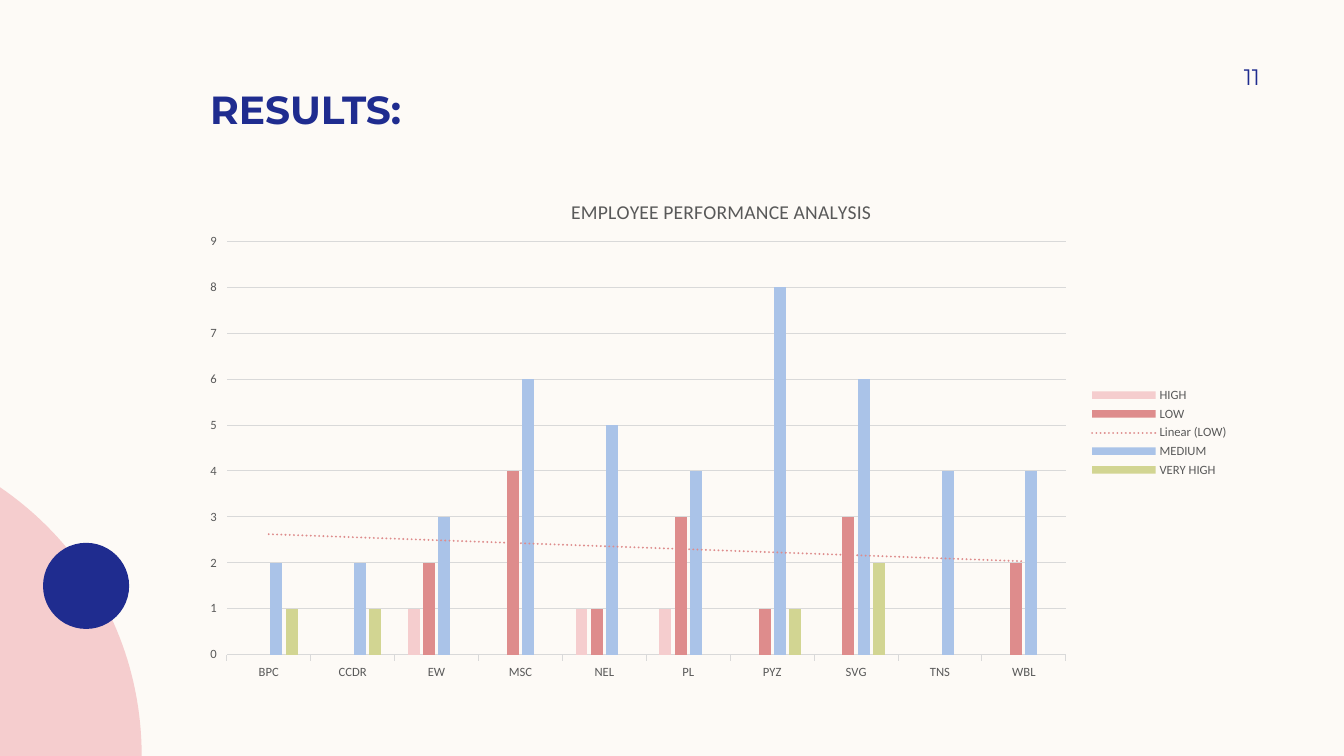
from lxml.etree import SubElement
from pptx import Presentation
from pptx.chart.data import CategoryChartData
from pptx.dml.color import RGBColor
from pptx.enum.chart import XL_CHART_TYPE as ChartType
from pptx.enum.chart import XL_LEGEND_POSITION as LegendPosition
from pptx.enum.chart import XL_TICK_MARK as TickMark
from pptx.enum.shapes import MSO_SHAPE as Shape
from pptx.enum.text import MSO_ANCHOR as Anchor
from pptx.enum.text import MSO_AUTO_SIZE as AutoSize
from pptx.enum.text import PP_ALIGN as Align
from pptx.oxml import parse_xml
from pptx.oxml.ns import nsdecls, qn
from pptx.util import Pt

EMU_PER_PX = 9525
SLIDE_WIDTH, SLIDE_HEIGHT = 1280, 720
TITLE_ONLY = 5
COLORS = {
    "cream": "FDFAF6",
    "pink": "F5CDCE",
    "navy": "1F2C8F",
    "rose": "DE8C8C",
    "blue": "AAC3E8",
    "olive": "D2D592",
    "label": "595959",
    "grid": "D9D9D9",
}
TEAMS = ["BPC", "CCDR", "EW", "MSC", "NEL", "PL", "PYZ", "SVG", "TNS", "WBL"]
RATINGS = [
    ("HIGH", "pink", [None, None, 1, None, 1, 1, None, None, None, None]),
    ("LOW", "rose", [None, None, 2, 4, 1, 3, 1, 3, None, 2]),
    ("MEDIUM", "blue", [2, 2, 3, 6, 5, 4, 8, 6, 4, 4]),
    ("VERY HIGH", "olive", [1, 1, None, None, None, None, 1, 2, None, None]),
]


def px(length):
    return length * EMU_PER_PX


def color(name):
    return RGBColor.from_string(COLORS[name])


def fill_solid(target, name):
    target.fill.solid()
    target.fill.fore_color.rgb = color(name)


def set_font(font, face, size, color_name, bold=False):
    font.name = face
    font.size = Pt(size)
    font.bold = bold
    font.color.rgb = color(color_name)


def style_decoration(shape, color_name):
    fill_solid(shape, color_name)
    shape.line.fill.background()
    shape.shadow.inherit = False


def add_circle(slide, left, top, diameter, color_name):
    circle = slide.shapes.add_shape(
        Shape.OVAL, px(left), px(top), px(diameter), px(diameter))
    style_decoration(circle, color_name)


def add_corner_curve(slide, controls, color_name, steps=40):
    curve = []
    for step in range(steps + 1):
        t = step / steps
        weights = [(1 - t) ** 3, 3 * t * (1 - t) ** 2, 3 * t * t * (1 - t), t ** 3]
        curve.append(tuple(
            round(px(sum(w * point[axis] for w, point in zip(weights, controls))))
            for axis in (0, 1)))
    builder = slide.shapes.build_freeform(*curve[0])
    builder.add_line_segments(curve[1:] + [(0, px(SLIDE_HEIGHT))], close=True)
    style_decoration(builder.convert_to_shape(), color_name)


def write_text(shape, text, size, align, anchor, margins, bold=False):
    frame = shape.text_frame
    frame.word_wrap = True
    frame.auto_size = AutoSize.NONE
    frame.vertical_anchor = anchor
    left, top, right, bottom = map(px, margins)
    frame.margin_left, frame.margin_top = left, top
    frame.margin_right, frame.margin_bottom = right, bottom
    paragraph = frame.paragraphs[0]
    paragraph.text = text
    paragraph.alignment = align
    set_font(paragraph.font, "Montserrat", size, "navy", bold)


def add_title(slide, text):
    title = slide.shapes.title
    title.left, title.top, title.width, title.height = map(px, (190, 62, 246, 64))
    write_text(title, text, 28, Align.LEFT, Anchor.BOTTOM, (10, 0, 10, 0), True)


def add_page_number(slide, text):
    box = slide.shapes.add_textbox(*map(px, (1096, 48, 104, 50)))
    write_text(box, text, 16, Align.RIGHT, Anchor.MIDDLE, (10, 5, 0, 5))


def place_chart_part(part, index, **fractions):
    for old_layout in part.findall(qn("c:layout")):
        part.remove(old_layout)
    layout = parse_xml(f"<c:layout {nsdecls('c')}><c:manualLayout/></c:layout>")
    manual = layout[0]
    if "w" in fractions:
        SubElement(manual, qn("c:layoutTarget")).set("val", "inner")
    for mode in ("xMode", "yMode"):
        SubElement(manual, qn(f"c:{mode}")).set("val", "edge")
    for key, value in fractions.items():
        SubElement(manual, qn(f"c:{key}")).set("val", str(value))
    part.insert(index, layout)


def add_trendline(series, color_name):
    trendline = parse_xml(
        f"<c:trendline {nsdecls('c', 'a')}>"
        f'<c:spPr><a:ln w="{Pt(1.5)}" cap="rnd"><a:solidFill>'
        f'<a:srgbClr val="{COLORS[color_name]}"/></a:solidFill>'
        '<a:prstDash val="sysDot"/></a:ln></c:spPr>'
        '<c:trendlineType val="linear"/>'
        '<c:dispRSqr val="0"/><c:dispEq val="0"/></c:trendline>')
    series._element.find(qn("c:cat")).addprevious(trendline)


def style_axes(chart):
    for axis in (chart.category_axis, chart.value_axis):
        axis.major_tick_mark = TickMark.OUTSIDE
        axis.minor_tick_mark = TickMark.NONE
        set_font(axis.tick_labels.font, "Calibri", 9, "label")
    value_axis = chart.value_axis
    value_axis.minimum_scale, value_axis.maximum_scale = 0, 9
    value_axis.major_unit = 1
    value_axis.format.line.fill.background()
    value_axis.has_major_gridlines = True
    for line in (chart.category_axis.format.line,
                 value_axis.major_gridlines.format.line):
        line.color.rgb = color("grid")
        line.width = Pt(0.75)


def add_ratings_chart(slide, title):
    data = CategoryChartData()
    data.categories = TEAMS
    for name, _, values in RATINGS:
        data.add_series(name, values)
    chart = slide.shapes.add_chart(
        ChartType.COLUMN_CLUSTERED, *map(px, (181, 166, 999, 492)), data).chart
    set_font(chart.font, "Calibri", 10, "label")

    chart.has_title = True
    paragraph = chart.chart_title.text_frame.paragraphs[0]
    paragraph.text = title
    set_font(paragraph.font, "Calibri", 14, "label")
    place_chart_part(chart.chart_title._element, 1, x=0.36, y=0.04)

    chart.has_legend = True
    chart.legend.position = LegendPosition.RIGHT
    chart.legend.include_in_layout = False
    set_font(chart.legend.font, "Calibri", 9, "label")

    plot = chart.plots[0]
    plot.gap_width = 219
    plot.overlap = -27
    plot.vary_by_categories = False
    for series, (name, color_name, _) in zip(plot.series, RATINGS):
        fill_solid(series.format, color_name)
        series.invert_if_negative = False
        if name == "LOW":
            add_trendline(series, color_name)
    style_axes(chart)
    plot_area = chart._chartSpace.find(f".//{qn('c:plotArea')}")
    place_chart_part(plot_area, 0, x=0.035, y=0.13, w=0.8, h=0.8)


def main():
    presentation = Presentation()
    presentation.slide_width = px(SLIDE_WIDTH)
    presentation.slide_height = px(SLIDE_HEIGHT)
    slide = presentation.slides.add_slide(presentation.slide_layouts[TITLE_ONLY])
    fill_solid(slide.background, "cream")
    add_corner_curve(slide, [(0, 464), (82, 520), (135, 613), (135, 720)], "pink")
    add_circle(slide, 41, 517, 82, "navy")
    add_title(slide, "RESULTS:")
    add_page_number(slide, "11")
    add_ratings_chart(slide, "EMPLOYEE PERFORMANCE ANALYSIS")
    presentation.save("out.pptx")


if __name__ == "__main__":
    main()
